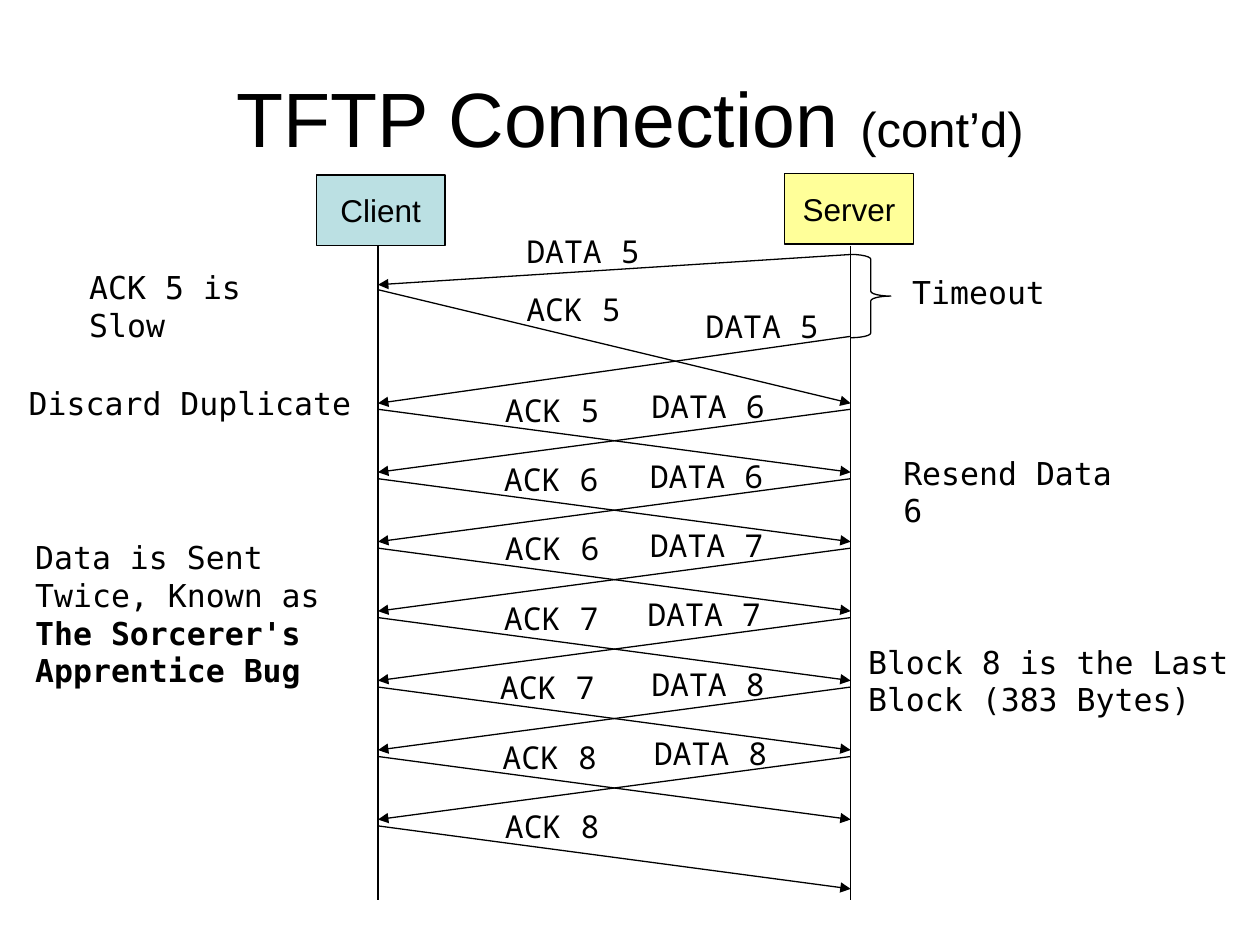
from dataclasses import dataclass

from lxml.etree import SubElement
from pptx import Presentation
from pptx.dml.color import RGBColor
from pptx.enum.shapes import MSO_CONNECTOR, MSO_SHAPE
from pptx.enum.text import MSO_ANCHOR, MSO_AUTO_SIZE, PP_ALIGN
from pptx.oxml.ns import qn
from pptx.util import Cm, Pt

COLORS = {"ink": "000000", "client": "BBE0E3", "server": "FFFF99"}
SANS, MONO, CODE = "Arial", "DejaVu Sans Mono", "Noto Sans Mono"
LEFT, RIGHT = 7.62, 17.15
FIRST, STEP, DROP = 8.25, 1.4, 1.27
HIGH = 1.02
WIDTHS = {"ACK": 2.41, "DATA": 2.79}


@dataclass
class Host:
    name: str
    line: float
    left: float
    top: float
    fill: str


@dataclass
class Packet:
    text: str
    x: float
    y: float
    start: float
    end: float


@dataclass
class Note:
    lines: list[str]
    x: float
    y: float
    width: float
    bold: int = 0


HOSTS = [
    Host("Client", LEFT, 6.38, 3.53, "client"),
    Host("Server", RIGHT, 15.82, 3.5, "server"),
]

EARLY = [
    Packet("DATA 5", 10.36, 4.55, 5.13, 5.74),
    Packet("ACK 5", 10.36, 5.72, 5.84, 8.13),
    Packet("DATA 5", 13.97, 6.07, 6.78, 8.13),
]

ACKS = [(5, 9.93), (6, 9.91), (6, 9.93), (7, 9.91), (7, 9.83), (8, 9.88), (8, 9.93)]
DATA = [(6, 12.88), (6, 12.85), (7, 12.85), (7, 12.8), (8, 12.88), (8, 12.93)]

NOTES = [
    Note(["Timeout"], 18.14, 5.38, 3.18),
    Note(["Block 8 is the Last", "Block (383 Bytes)"], 17.25, 12.83, 7.77),
    Note(["ACK 5 is Slow"], 1.55, 5.28, 5.46),
    Note(["Discard Duplicate"], 0.33, 7.62, 7.01),
    Note(["Resend Data 6"], 17.96, 9.02, 5.46),
    Note(["Data is Sent", "Twice, Known as", "The Sorcerer's", "Apprentice Bug"],
         0.46, 10.72, 6.25, bold=2),
]


def tint(name: str) -> RGBColor:
    return RGBColor.from_string(COLORS[name])


def write(par, text: str, *, face: str = MONO, size: int = 18,
          bold: bool = False, align=PP_ALIGN.LEFT) -> None:
    par.alignment = align
    run = par.add_run()
    run.text = text
    run.font.name = face
    run.font.size = Pt(size)
    run.font.bold = bold
    run.font.color.rgb = tint("ink")


def label(slide, note: Note, face: str = MONO) -> None:
    high = HIGH + 0.76 * (len(note.lines) - 1)
    box = slide.shapes.add_textbox(Cm(note.x), Cm(note.y), Cm(note.width), Cm(high))
    frame = box.text_frame
    frame.word_wrap = False
    frame.auto_size = MSO_AUTO_SIZE.SHAPE_TO_FIT_TEXT
    plain = len(note.lines) - note.bold
    for i, text in enumerate(note.lines):
        par = frame.add_paragraph() if i else frame.paragraphs[0]
        write(par, text, face=face, bold=i >= plain)


def wire(slide, x1: float, y1: float, x2: float, y2: float, arrow: bool = True) -> None:
    line = slide.shapes.add_connector(
        MSO_CONNECTOR.STRAIGHT, Cm(x1), Cm(y1), Cm(x2), Cm(y2))
    line.line.color.rgb = tint("ink")
    line.line.width = Pt(0.75)
    props = line.element.spPr
    if arrow:
        SubElement(props.find(qn("a:ln")), qn("a:tailEnd"), type="triangle")
    SubElement(props, qn("a:effectLst"))


def send(slide, packet: Packet) -> None:
    kind = packet.text.split()[0]
    ends = (LEFT, RIGHT) if kind == "ACK" else (RIGHT, LEFT)
    wire(slide, ends[0], packet.start, ends[1], packet.end)
    label(slide, Note([packet.text], packet.x, packet.y, WIDTHS[kind]), CODE)


def shape(slide, kind, x: float, y: float, width: float, high: float):
    item = slide.shapes.add_shape(kind, Cm(x), Cm(y), Cm(width), Cm(high))
    item.shadow.inherit = False
    item.line.color.rgb = tint("ink")
    item.line.width = Pt(0.75)
    return item


def head(slide, host: Host) -> None:
    box = shape(slide, MSO_SHAPE.RECTANGLE, host.left, host.top, 2.59, 1.42)
    box.fill.solid()
    box.fill.fore_color.rgb = tint(host.fill)
    frame = box.text_frame
    frame.word_wrap = False
    frame.vertical_anchor = MSO_ANCHOR.MIDDLE
    write(frame.paragraphs[0], host.name, face=SANS, align=PP_ALIGN.CENTER)


def rows() -> list[Packet]:
    found = []
    for kind, items, lift in (("ACK", ACKS, 0.5), ("DATA", DATA, 0.57)):
        for i, (block, x) in enumerate(items):
            y = FIRST + i * STEP
            found.append(Packet(f"{kind} {block}", x, y - lift, y, y + DROP))
    return found


def main() -> None:
    deck = Presentation()
    deck.slide_width, deck.slide_height = Cm(25.4), Cm(19.05)
    slide = deck.slides.add_slide(deck.slide_layouts[5])

    title = slide.shapes.title
    title.left, title.top = Cm(1.27), Cm(0.76)
    title.width, title.height = Cm(22.86), Cm(3.18)
    title.text_frame.vertical_anchor = MSO_ANCHOR.MIDDLE
    for text, size in (("TFTP Connection ", 44), ("(cont’d)", 28)):
        write(title.text_frame.paragraphs[0], text, face=SANS, size=size,
              align=PP_ALIGN.CENTER)

    for host in HOSTS:
        wire(slide, host.line, 4.95, host.line, 18.14, arrow=False)
        head(slide, host)

    brace = shape(slide, MSO_SHAPE.RIGHT_BRACE, RIGHT, 5.13, 0.81, 1.68)
    brace.adjustments[0] = 0.12
    brace.fill.background()

    for packet in EARLY + rows():
        send(slide, packet)
    for note in NOTES:
        label(slide, note)

    deck.save("out.pptx")


if __name__ == "__main__":
    main()
